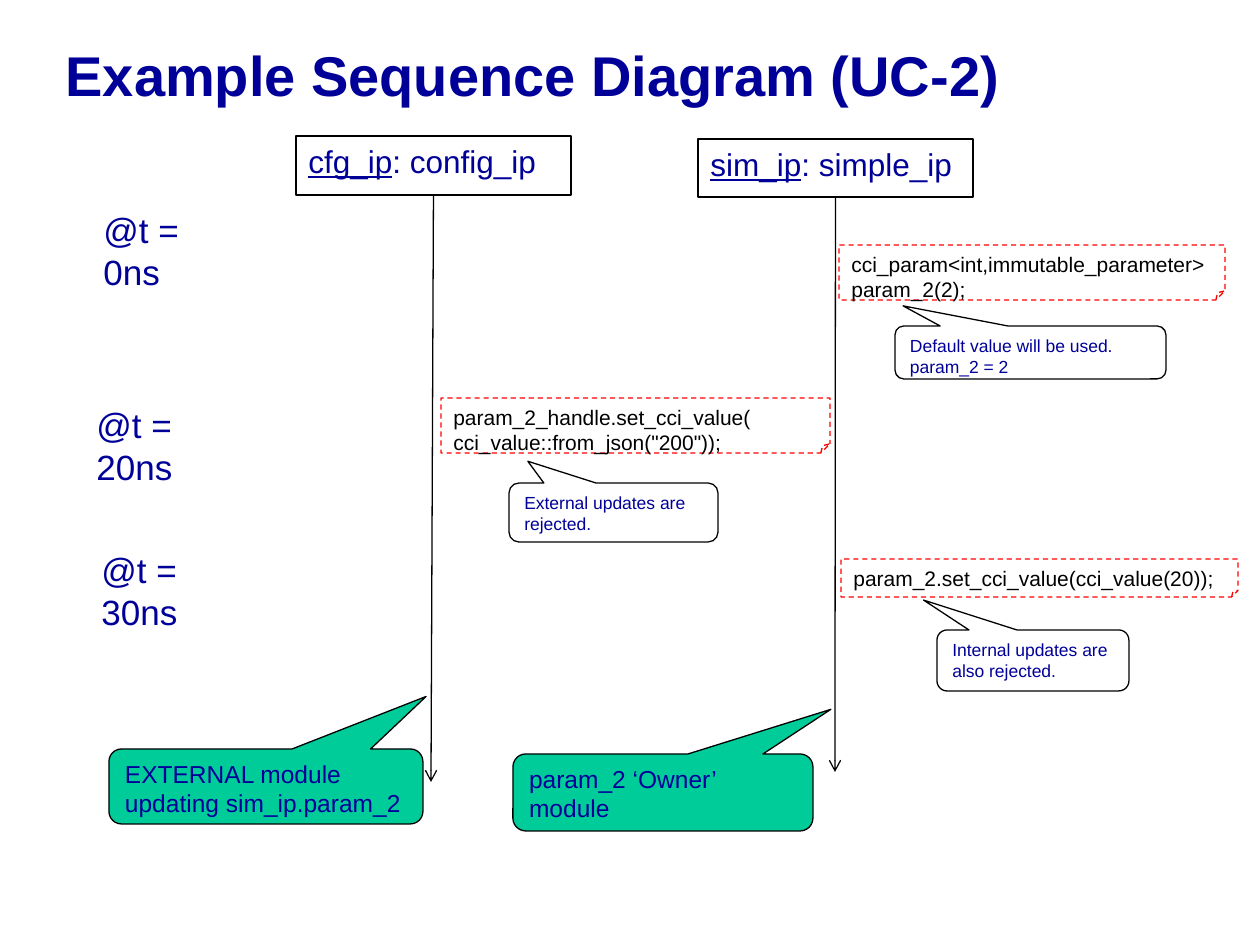
from copy import deepcopy
from dataclasses import dataclass

from lxml import etree
from pptx import Presentation
from pptx import util as u
from pptx.dml.color import RGBColor
from pptx.enum import dml, shapes, text
from pptx.oxml.ns import qn

PX_PER_INCH = 126
NAVY = RGBColor(0x00, 0x00, 0x99)
BLACK = RGBColor(0x00, 0x00, 0x00)
RED = RGBColor(0xFF, 0x00, 0x00)
GREEN = RGBColor(0x00, 0xCC, 0x99)
LINE_WIDTH = u.Pt(0.75)


@dataclass(frozen=True)
class Box:
    left: int
    top: int
    width: int
    height: int

    def emu(self) -> tuple:
        return tuple(px(n) for n in (self.left, self.top, self.width, self.height))


@dataclass(frozen=True)
class Lifeline:
    instance: str
    module: str
    header: Box
    end_x: int
    end_y: int


@dataclass(frozen=True)
class TimeMark:
    label: str
    box: Box


@dataclass(frozen=True)
class CodeNote:
    code: str
    box: Box


@dataclass(frozen=True)
class Callout:
    remark: str
    box: Box
    tip: tuple  # offset from the centre, as a share of width and height
    size: int = 10
    fill: RGBColor | None = None


LIFELINES = [
    Lifeline("sim_ip", "simple_ip", Box(698, 139, 275, 58), 835, 772),
    Lifeline("cfg_ip", "config_ip", Box(296, 136, 275, 59), 431, 782),
]
TIME_MARKS = [
    TimeMark("@t = 0ns", Box(91, 202, 166, 55)),
    TimeMark("@t = 20ns", Box(84, 397, 186, 55)),
    TimeMark("@t = 30ns", Box(89, 542, 186, 55)),
]
CODE_NOTES = [
    CodeNote("cci_param<int,immutable_parameter>\nparam_2(2);", Box(839, 245, 386, 55)),
    CodeNote('param_2_handle.set_cci_value(\vcci_value::from_json("200"));',
             Box(441, 398, 389, 55)),
    CodeNote("param_2.set_cci_value(cci_value(20));", Box(841, 559, 397, 38)),
]
CALLOUTS = [
    Callout("param_2 ‘Owner’ module", Box(513, 754, 300, 77), (0.56, -1.08), 14, GREEN),
    Callout("EXTERNAL module updating sim_ip.param_2", Box(109, 749, 314, 75),
            (0.51, -1.2), 14, GREEN),
    Callout("Default value will be used. param_2 = 2", Box(895, 326, 271, 53), (-0.47, -0.88)),
    Callout("External updates are rejected.", Box(509, 483, 209, 59), (-0.41, -0.87)),
    Callout("Internal updates are also rejected.", Box(937, 630, 192, 61), (-0.57, -0.99)),
]


def px(length: int) -> u.Emu:
    return u.Emu(round(length * u.Inches(1) / PX_PER_INCH))


def write(shape, content: str, *, size: int, color: RGBColor = NAVY, bold: bool = False,
          underlined: str = "", wrap: bool = True, anchor=text.MSO_ANCHOR.TOP,
          spacing: float = 1.0) -> None:
    """Write one paragraph per line, led by an underlined prefix if one is given."""
    frame = shape.text_frame
    frame.word_wrap = wrap
    frame.vertical_anchor = anchor
    frame.margin_left = frame.margin_right = u.Inches(0.1)
    frame.margin_top = frame.margin_bottom = u.Inches(0.05)
    for index, line in enumerate(content.split("\n")):
        paragraph = frame.add_paragraph() if index else frame.paragraphs[0]
        paragraph.alignment = text.PP_ALIGN.LEFT
        paragraph.line_spacing = spacing
        paragraph.text = underlined or line
        if underlined:
            paragraph.runs[0].font.underline = True
            paragraph.add_run().text = line
        for run in paragraph.runs:
            run.font.name = "Arial"
            run.font.size = u.Pt(size)
            run.font.bold = bold
            run.font.color.rgb = color
        for line_break in paragraph._p.findall(qn("a:br")):
            line_break.append(deepcopy(paragraph.runs[0]._r.rPr))


def add_box(slide, preset, box: Box, *, fill: RGBColor | None = None,
            outline: RGBColor = BLACK, dashed: bool = False):
    shape = slide.shapes.add_shape(preset, *box.emu())
    shape.shadow.inherit = False
    if fill is None:
        shape.fill.background()
    else:
        shape.fill.solid()
        shape.fill.fore_color.rgb = fill
    shape.line.color.rgb = outline
    shape.line.width = LINE_WIDTH
    if dashed:
        shape.line.dash_style = dml.MSO_LINE.DASH
    return shape


def draw_title(slide, title: str) -> None:
    holder = slide.shapes.title
    holder.left, holder.top, holder.width, holder.height = Box(53, 0, 1197, 158).emu()
    write(holder, title, size=32, bold=True, anchor=text.MSO_ANCHOR.MIDDLE, spacing=0.85)


def draw_lifeline(slide, lifeline: Lifeline) -> None:
    header = add_box(slide, shapes.MSO_SHAPE.RECTANGLE, lifeline.header)
    write(header, f": {lifeline.module}", size=18, underlined=lifeline.instance)
    end_x, end_y = px(lifeline.end_x), px(lifeline.end_y)
    arrow = slide.shapes.add_connector(
        shapes.MSO_CONNECTOR.STRAIGHT, end_x, header.top + header.height, end_x, end_y)
    arrow.begin_connect(header, 2)
    arrow.line.color.rgb = BLACK
    arrow.line.width = LINE_WIDTH
    etree.SubElement(arrow.line._get_or_add_ln(), qn("a:tailEnd"), type="arrow")
    etree.SubElement(arrow._element.spPr, qn("a:effectLst"))


def draw_time_mark(slide, mark: TimeMark) -> None:
    label = slide.shapes.add_textbox(*mark.box.emu())
    write(label, mark.label, size=20, wrap=False)
    label.text_frame.auto_size = text.MSO_AUTO_SIZE.SHAPE_TO_FIT_TEXT


def draw_code_note(slide, note: CodeNote) -> None:
    card = add_box(slide, shapes.MSO_SHAPE.FOLDED_CORNER, note.box, outline=RED, dashed=True)
    write(card, note.code, size=12, color=BLACK)


def draw_callout(slide, callout: Callout) -> None:
    bubble = add_box(slide, shapes.MSO_SHAPE.ROUNDED_RECTANGULAR_CALLOUT, callout.box,
                     fill=callout.fill)
    for index, offset in enumerate(callout.tip):
        bubble.adjustments[index] = offset
    write(bubble, callout.remark, size=callout.size)


def main() -> None:
    deck = Presentation()
    deck.slide_width, deck.slide_height = u.Inches(10), u.Inches(7.5)
    slide = deck.slides.add_slide(deck.slide_layouts[5])
    draw_title(slide, "Example Sequence Diagram (UC-2)")
    for draw, items in (
        (draw_lifeline, LIFELINES),
        (draw_time_mark, TIME_MARKS),
        (draw_code_note, CODE_NOTES),
        (draw_callout, CALLOUTS),
    ):
        for item in items:
            draw(slide, item)
    deck.save("out.pptx")


if __name__ == "__main__":
    main()
